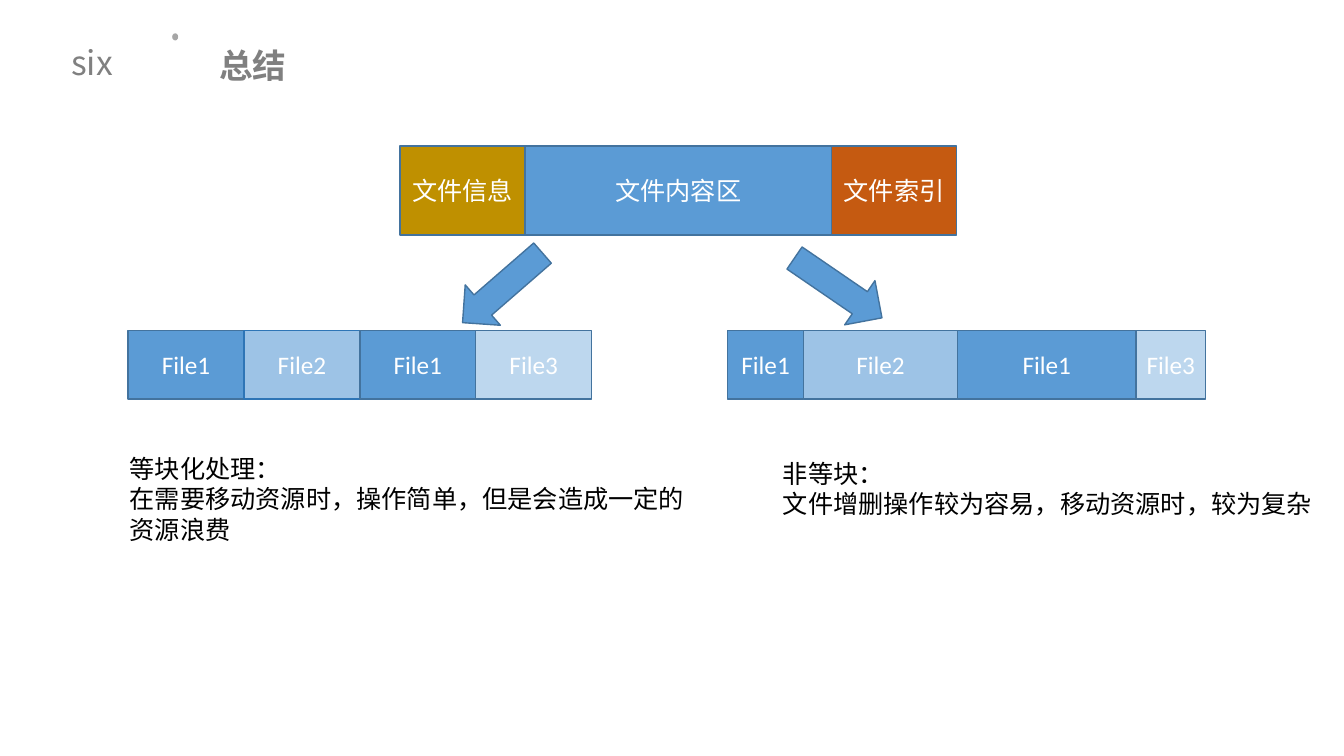
from lxml.etree import SubElement
from pptx import Presentation
from pptx.dml.color import RGBColor
from pptx.enum.shapes import MSO_SHAPE
from pptx.enum.text import MSO_ANCHOR, PP_ALIGN
from pptx.oxml.ns import qn
from pptx.util import Cm, Pt

COLOURS = {
    "blue": "5B9BD5", "light": "9DC3E6", "pale": "BDD7EE",
    "gold": "BF9000", "rust": "C55A11", "outline": "43739E",
    "bright": "2E75B6", "grey": "808080", "dot": "A6A6A6",
    "white": "FFFFFF", "black": "000000",
}
CJK_FONT = "Noto Sans CJK SC"


class SlideBuilder:
    """Draws styled elements on the current slide."""

    def __init__(self, slide):
        self.slide = slide

    def colour(self, name):
        """Return a palette colour."""
        return RGBColor.from_string(COLOURS[name])

    def fill_text(self, frame, lines, colour, size=18, font="Calibri", bold=False, align=PP_ALIGN.LEFT):
        """Fill a text frame with one paragraph per line."""
        for index, line in enumerate(lines):
            para = frame.add_paragraph() if index else frame.paragraphs[0]
            para.alignment = align
            span = para.add_run()
            span.text = line
            span.font.name = font
            span.font.size = Pt(size)
            span.font.bold = bold
            span.font.color.rgb = self.colour(colour)
            properties = span._r.get_or_add_rPr()
            SubElement(properties, qn("a:ea")).set("typeface", CJK_FONT)

    def title(self, text, left, top, width, height):
        """Place and format the title placeholder."""
        box = self.slide.shapes.title
        box.left, box.top, box.width, box.height = Cm(left), Cm(top), Cm(width), Cm(height)
        frame = box.text_frame
        frame.vertical_anchor = MSO_ANCHOR.MIDDLE
        frame.margin_left, frame.margin_right = Cm(0.69), Cm(0.76)
        frame.margin_top = frame.margin_bottom = Cm(0.43)
        self.fill_text(frame, [text], "grey", 24, CJK_FONT, True)
        frame.paragraphs[0].line_spacing = 0.9

    def text(self, lines, left, top, width, height, colour="black", **style):
        """Add a text box that keeps its own line breaks."""
        box = self.slide.shapes.add_textbox(Cm(left), Cm(top), Cm(width), Cm(height))
        box.text_frame.word_wrap = False
        self.fill_text(box.text_frame, lines, colour, **style)

    def shape(self, kind, left, top, width, height, fill, outline="outline"):
        """Add a filled preset shape, outlined unless outline is None."""
        box = self.slide.shapes.add_shape(kind, Cm(left), Cm(top), Cm(width), Cm(height))
        box.shadow.inherit = False
        box.fill.solid()
        box.fill.fore_color.rgb = self.colour(fill)
        if outline:
            box.line.color.rgb = self.colour(outline)
            box.line.width = Pt(1)
        else:
            box.line.fill.background()
        return box

    def row(self, left, top, height, blocks):
        """Add adjoining labelled blocks from left to right."""
        for label, width, fill, outline in blocks:
            box = self.shape(MSO_SHAPE.RECTANGLE, left, top, width, height, fill, outline)
            frame = box.text_frame
            frame.vertical_anchor = MSO_ANCHOR.MIDDLE
            self.fill_text(frame, [label], "white", align=PP_ALIGN.CENTER)
            left += width

    def arrow(self, left, rotation):
        """Add a block arrow from the file layout to a scheme."""
        box = self.shape(MSO_SHAPE.DOWN_ARROW, left, 5.92, 1.35, 2.67, "blue")
        box.rotation = rotation


def main():
    """Build the summary slide."""
    deck = Presentation()
    deck.slide_width, deck.slide_height = Cm(33.87), Cm(19.05)
    page = SlideBuilder(deck.slides.add_slide(deck.slide_layouts[5]))

    page.shape(MSO_SHAPE.OVAL, 4.34, 0.84, 0.15, 0.18, "dot", None)
    page.text(["six"], 1.42, 0.94, 1.8, 1.27, "grey", size=24, font=CJK_FONT, align=PP_ALIGN.CENTER)
    page.title("总结", 4.83, 0.84, 12.27, 1.73)

    page.row(10.08, 3.68, 2.24, [
        ("文件信息", 3.15, "gold", "outline"),
        ("文件内容区", 7.73, "blue", "outline"),
        ("文件索引", 3.15, "rust", "outline"),
    ])

    files = [("File1", "blue"), ("File2", "light"), ("File1", "blue"), ("File3", "pale")]
    schemes = [
        (3.23, [2.92] * 4, "bright"),
        (18.34, [1.91, 3.88, 4.5, 1.75], "outline"),
    ]
    for left, widths, second in schemes:
        outlines = ["outline", second, "outline", "outline"]
        page.row(left, 8.33, 1.73, [
            (label, width, fill, outline)
            for (label, fill), width, outline in zip(files, widths, outlines)
        ])

    page.arrow(11.99, 49)
    page.arrow(20.45, 304.4)

    page.text(["等块化处理：", "在需要移动资源时，操作简单，但是会造成一定的", "资源浪费"], 3.02, 11.3, 14.63, 2.57)
    page.text(["非等块：", "文件增删操作较为容易，移动资源时，较为复杂"], 19.48, 11.43, 13.97, 1.8)
    deck.save("out.pptx")


if __name__ == "__main__":
    main()
